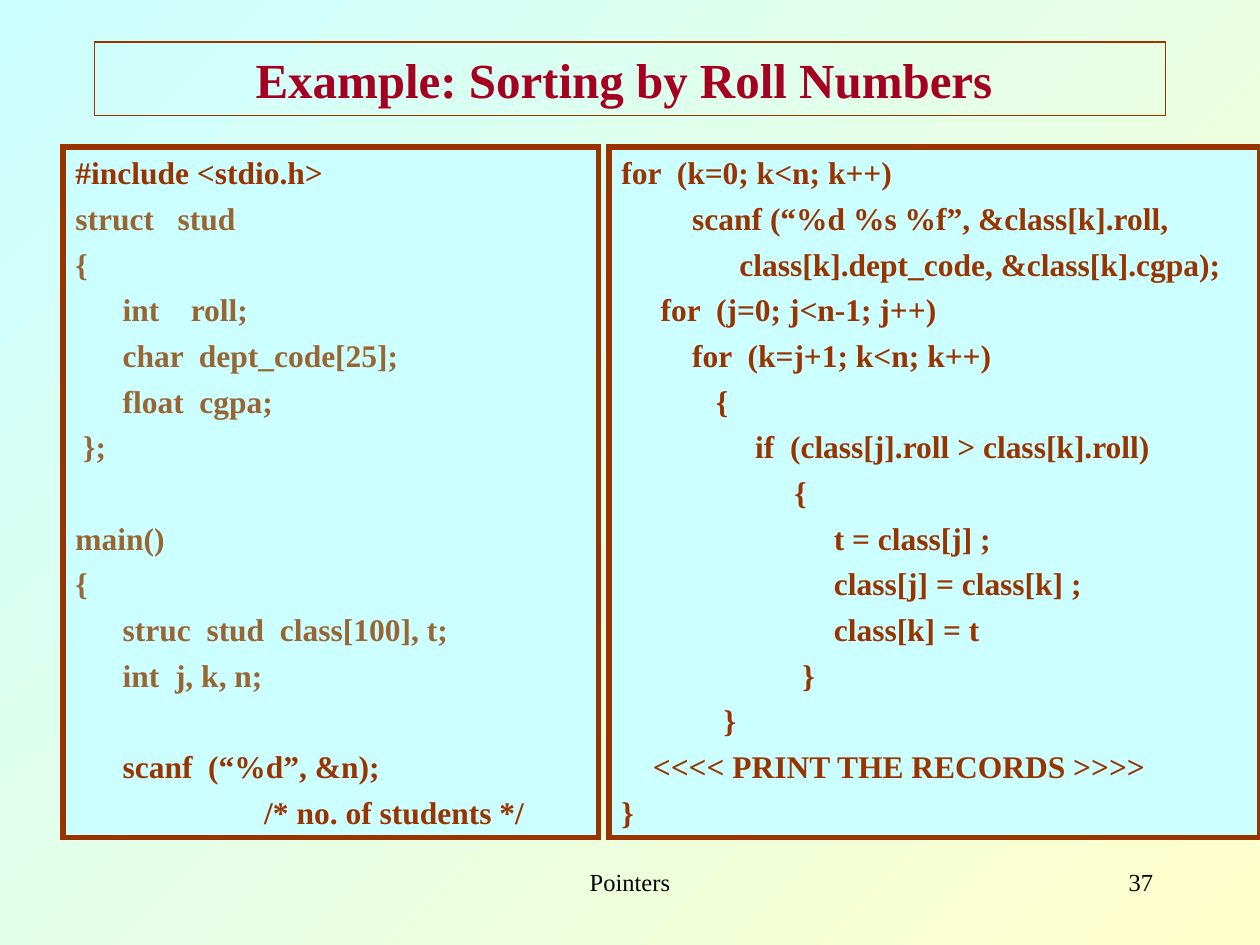
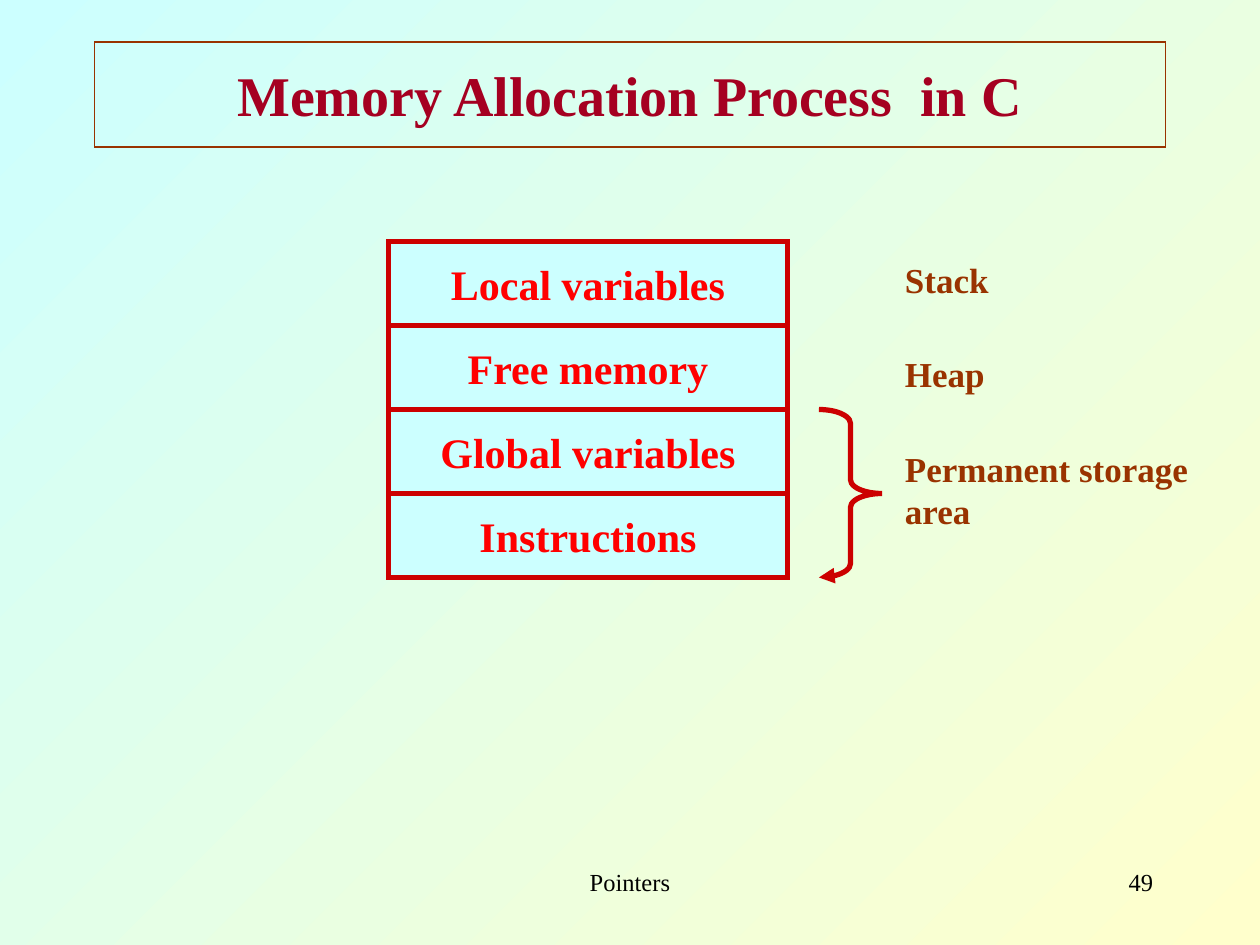
"""Builds two lecture slides on pointers: a sorting listing and C memory areas."""
from dataclasses import dataclass

from lxml import etree
from pptx import Presentation
from pptx.dml.color import RGBColor
from pptx.enum.shapes import MSO_SHAPE
from pptx.enum.text import MSO_ANCHOR, MSO_AUTO_SIZE, PP_ALIGN
from pptx.oxml.ns import qn
from pptx.util import Inches, Pt

RECT, BRACE = MSO_SHAPE.RECTANGLE, MSO_SHAPE.RIGHT_BRACE
TOP, MIDDLE = MSO_ANCHOR.TOP, MSO_ANCHOR.MIDDLE
LEFT, CENTER, RIGHT = PP_ALIGN.LEFT, PP_ALIGN.CENTER, PP_ALIGN.RIGHT
FIXED = MSO_AUTO_SIZE.NONE
TITLE_ONLY = 5

STRUCT_CODE = """struct   stud
{
      int    roll;
      char  dept_code[25];
      float  cgpa;
 };

main()
{
      struc  stud  class[100], t;
      int  j, k, n;"""

INPUT_CODE = """
      scanf  (“%d”, &n);
                        /* no. of students */"""

SORT_CODE = """for  (k=0; k<n; k++)
         scanf (“%d %s %f”, &class[k].roll,
               class[k].dept_code, &class[k].cgpa);
     for  (j=0; j<n-1; j++)
         for  (k=j+1; k<n; k++)
            {
                 if  (class[j].roll > class[k].roll)
                      {
                           t = class[j] ;
                           class[j] = class[k] ;
                           class[k] = t
                       }
             }
    <<<< PRINT THE RECORDS >>>>
}"""


@dataclass(frozen=True)
class Theme:
    """Colours, type sizes and line weights of the deck."""
    font: str = "Times New Roman"
    sky: str = "CCFFFF"
    cream: str = "FFFFCC"
    title: str = "A50021"
    brown: str = "993300"
    muted: str = "996633"
    frame: str = "CC0000"
    red: str = "FF0000"
    black: str = "000000"
    footer_size: int = 14
    code_size: int = 18
    label_size: int = 20
    cell_size: int = 24
    code_gap: float = 4.5
    code_pitch: float = 26.1
    thin: float = 0.75
    thick: float = 3


class Deck:
    """Draws styled elements on the current slide, on a grid of 120 by 90 units."""

    def __init__(self, theme):
        """Sets up the slide size and the shared gradient background."""
        self.theme = theme
        self.prs = Presentation()
        self.prs.slide_width, self.prs.slide_height = Inches(10), Inches(7.5)
        self.unit = self.prs.slide_width / 120
        self.s = None
        fill = self.prs.slide_master.background.fill
        fill.gradient()
        fill.gradient_angle = 315
        for stop, color in zip(fill.gradient_stops, (theme.sky, theme.cream)):
            stop.color.rgb = RGBColor.from_string(color)

    def box(self, *cells):
        """Turns grid units into whole lengths."""
        return [round(c * self.unit) for c in cells]

    def outline(self, sp, color, width):
        """Gives a shape its square-cornered line and returns the line element."""
        sp.line.color.rgb = RGBColor.from_string(color)
        sp.line.width = Pt(width)
        ln = sp._element.spPr.find(qn("a:ln"))
        etree.SubElement(ln, qn("a:miter"), lim="800000")
        return ln

    def style(self, p, size, color, bold=True, align=LEFT):
        """Formats one paragraph."""
        p.alignment = align
        p.font.name, p.font.size, p.font.bold = self.theme.font, Pt(size), bold
        p.font.color.rgb = RGBColor.from_string(color)

    def slide(self, title, number, size, rows):
        """Starts a slide with its framed title and footer."""
        t = self.theme
        self.s = self.prs.slides.add_slide(self.prs.slide_layouts[TITLE_ONLY])
        sp = self.s.shapes.title
        sp.left, sp.top, sp.width, sp.height = self.box(9, 4, 102, rows)
        self.outline(sp, t.brown, t.thin)
        tf = sp.text_frame
        tf.text, tf.auto_size, tf.vertical_anchor = title, FIXED, MIDDLE
        self.style(tf.paragraphs[0], size, t.title, align=CENTER)
        for text, x, w, align in (("Pointers", 41, 38, CENTER), (number, 86, 25, RIGHT)):
            self.text(text, x, 82, w, 6, t.footer_size, t.black, False, align)

    def text(self, text, x, y, w, h, size, color, bold=True, align=LEFT):
        """Adds a wrapped text box."""
        tf = self.s.shapes.add_textbox(*self.box(x, y, w, h)).text_frame
        tf.text, tf.word_wrap = text, True
        self.style(tf.paragraphs[0], size, color, bold, align)

    def panel(self, x, y, w, h, line, anchor):
        """Adds a filled, framed rectangle and returns its text frame."""
        sp = self.s.shapes.add_shape(RECT, *self.box(x, y, w, h))
        sp.shadow.inherit = False
        sp.fill.solid()
        sp.fill.fore_color.rgb = RGBColor.from_string(self.theme.sky)
        self.outline(sp, line, self.theme.thick)
        sp.text_frame.vertical_anchor = anchor
        return sp.text_frame

    def code(self, x, w, *blocks):
        """Adds a listing of (colour, code) blocks, with empty lines as spacing."""
        t = self.theme
        tf = self.panel(x, 14, w, 65.75, t.brown, TOP)
        p, gap = tf.paragraphs[0], 0
        for color, source in blocks:
            for line in source.split("\n"):
                if not line:
                    gap += t.code_pitch
                    continue
                p = p if not p.text else tf.add_paragraph()
                p.text, p.space_before = line, Pt(gap)
                self.style(p, t.code_size, color)
                gap = t.code_gap

    def cell(self, text, x, y, w, h):
        """Adds one labelled memory cell."""
        t = self.theme
        tf = self.panel(x, y, w, h, t.frame, MIDDLE)
        tf.text, tf.word_wrap = text, False
        self.style(tf.paragraphs[0], t.cell_size, t.red, align=CENTER)

    def brace(self, x, y, w, h):
        """Adds a right brace that ends in an arrowhead."""
        sp = self.s.shapes.add_shape(BRACE, *self.box(x, y, w, h))
        sp.shadow.inherit = False
        sp.fill.background()
        sp.adjustments[0] = 0.22
        ln = self.outline(sp, self.theme.frame, self.theme.thick)
        etree.SubElement(ln, qn("a:tailEnd"), type="triangle")


def sorting_slide(deck):
    """Shows the sorting program in two panels."""
    t = deck.theme
    deck.slide("Example: Sorting by Roll Numbers ", "37", 28, 7)
    deck.code(6, 51, (t.brown, "#include <stdio.h>"), (t.muted, STRUCT_CODE),
              (t.brown, INPUT_CODE))
    deck.code(58, 62, (t.brown, SORT_CODE))


def memory_slide(deck):
    """Shows the stacked memory areas and where each one lives."""
    t = deck.theme
    deck.slide("Memory Allocation Process  in C", "49", 32, 10)
    top, step = 23, 8
    areas = "Local variables", "Free memory", "Global variables", "Instructions"
    for i, area in enumerate(areas):
        deck.cell(area, 37, top + i * step, 38, step)
    deck.brace(78, top + 2 * step, 6, 2 * step)
    labels = ("Stack", 5.25), ("Heap", 5.25), ("Permanent storage area", 9.25)
    for i, (label, h) in enumerate(labels):
        deck.text(label, 85, 24 + 9 * i, 32, h, t.label_size, t.brown)


def main():
    """Builds and saves the deck."""
    deck = Deck(Theme())
    sorting_slide(deck)
    memory_slide(deck)
    deck.prs.save("out.pptx")


if __name__ == "__main__":
    main()
